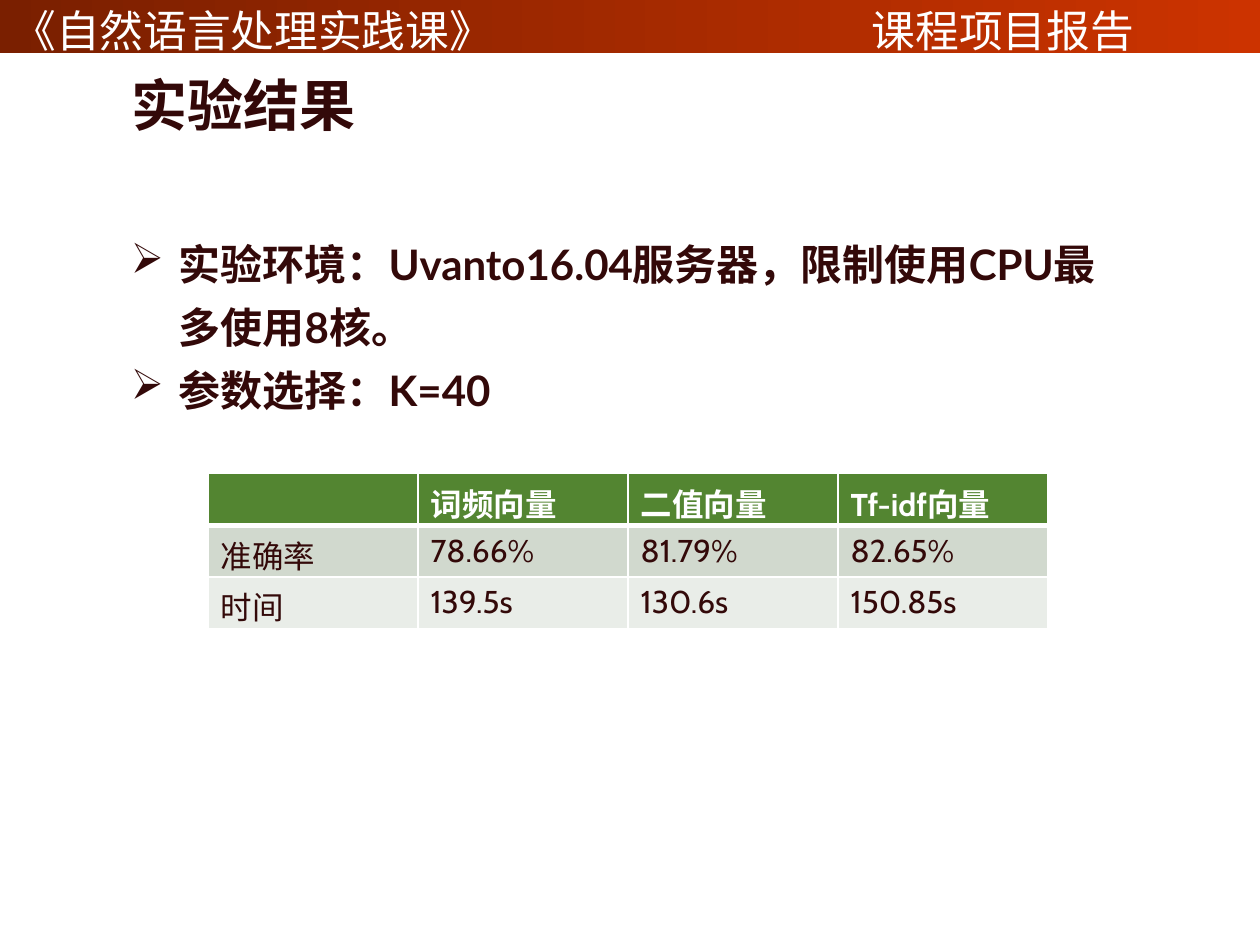
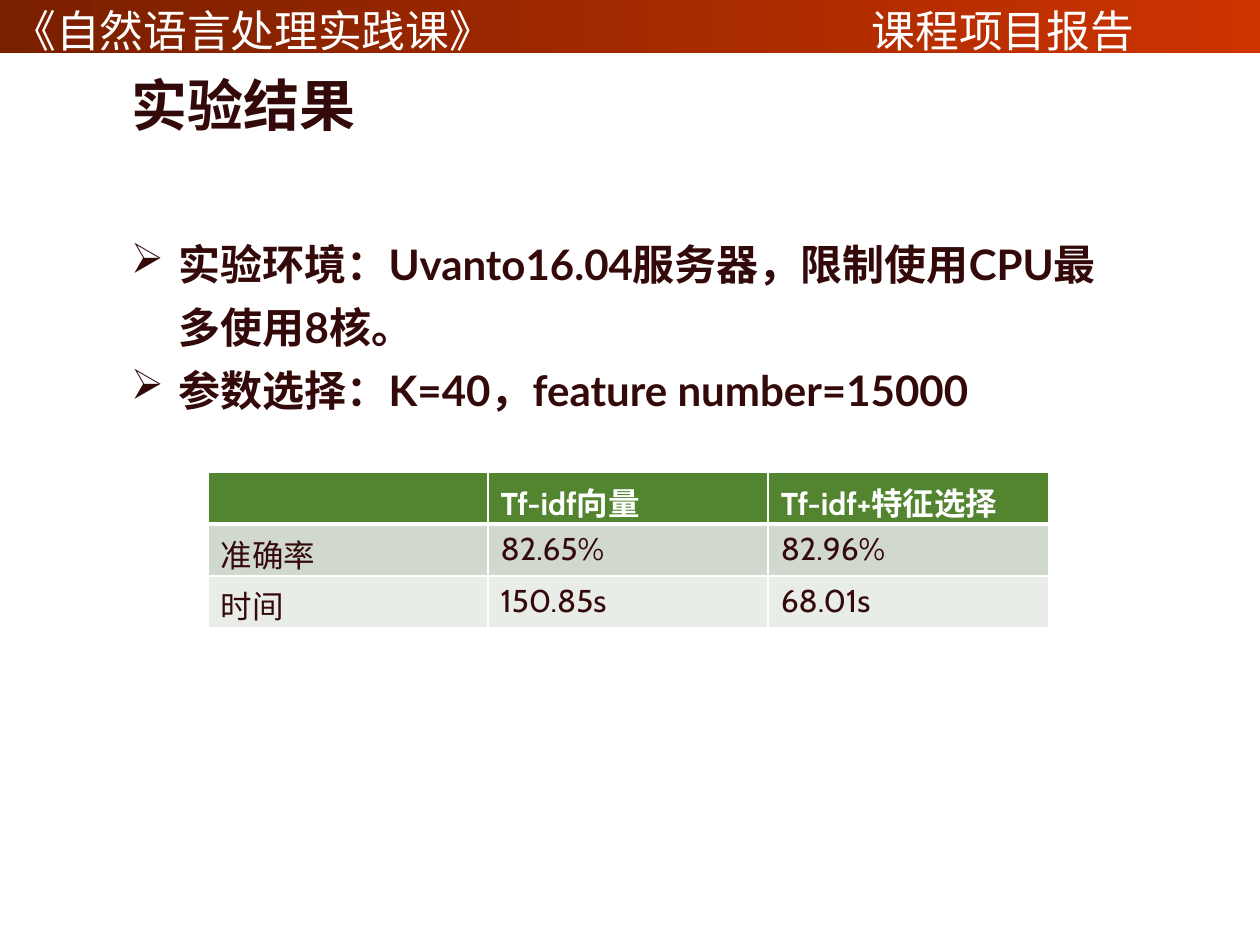
from lxml import etree
from pptx import Presentation
from pptx.dml.color import RGBColor as Rgb
from pptx.enum.shapes import MSO_SHAPE as Kind
from pptx.enum.text import MSO_ANCHOR as Anchor, MSO_AUTO_SIZE as Fit, PP_ALIGN as Align
from pptx.oxml import parse_xml
from pptx.oxml.ns import nsdecls, qn
from pptx.util import Inches, Pt

# Style
DARK = Rgb(0x33, 0x09, 0x09)
WHITE = Rgb(0xFF, 0xFF, 0xFF)
RUST = Rgb(0x7A, 0x1F, 0x00)
RED = Rgb(0xCC, 0x33, 0x00)
GREEN = Rgb(0x53, 0x85, 0x31)
BANDS = (Rgb(0xD1, 0xD9, 0xCE), Rgb(0xE9, 0xED, 0xE8))
LATO, CABIN = "Lato", "Cabin"

# Content
COURSE, REPORT = "《自然语言处理实践课》", "课程项目报告"
TITLE = "实验结果"
SETUP = "实验环境：Uvanto16.04服务器，限制使用CPU最多使用8核。"


def write(para, text, size=18, font=LATO, color=DARK, bold=False, space=None):
    """Add one formatted run to a paragraph."""
    run = para.add_run()
    run.text = text
    face = run.font
    face.size, face.name, face.bold = Pt(size), font, bold
    face.color.rgb = color
    if space:
        para.line_spacing = space
    return run


def glow(run):
    """Give a run a soft drop shadow."""
    shade = parse_xml(
        f'<a:effectLst {nsdecls("a")}><a:outerShdw blurRad="38100" dist="38100" '
        'dir="2700000" algn="tl"><a:srgbClr val="000000"><a:alpha val="43000"/>'
        '</a:srgbClr></a:outerShdw></a:effectLst>')
    run.font._element.find(qn("a:solidFill")).addnext(shade)


def edge(cell, **sides):
    """Draw white cell borders; each side gives its width in points."""
    props = cell._tc.get_or_add_tcPr()
    for spot, (side, width) in enumerate(sides.items()):
        props.insert(spot, parse_xml(
            f'<a:ln{side} {nsdecls("a")} w="{Pt(width)}"><a:solidFill>'
            f'<a:srgbClr val="{WHITE}"/></a:solidFill></a:ln{side}>'))


class Deck:
    def __init__(self):
        self.file = Presentation()
        self.file.slide_width, self.file.slide_height = Inches(10), Inches(7.5)
        self.slide = None

    def start(self, title):
        self.slide = self.file.slides.add_slide(self.file.slide_layouts[5])
        self.band()
        self.title(title)

    def box(self, left, top, width, height):
        frame = self.slide.shapes.add_textbox(
            Inches(left), Inches(top), Inches(width), Inches(height)).text_frame
        frame.word_wrap = True
        return frame

    def band(self):
        bar = self.slide.shapes.add_shape(Kind.RECTANGLE, 0, 0, Inches(10), Inches(0.42))
        bar.shadow.inherit = False
        bar.line.fill.background()
        bar.fill.gradient()
        bar.fill.gradient_angle = 0
        for stop, (place, color) in zip(bar.fill.gradient_stops, ((0, RUST), (1, RED))):
            stop.position, stop.color.rgb = place, color
        # Course on the left, report name at a tab stop
        frame = self.box(0, -0.03, 9.99, 0.53)
        frame.vertical_anchor = Anchor.MIDDLE
        para = frame.paragraphs[0]
        tabs = etree.SubElement(para._p.get_or_add_pPr(), qn("a:tabLst"))
        etree.SubElement(tabs, qn("a:tab"), pos=str(Inches(6.82)), algn="l")
        write(para, f"{COURSE}\t{REPORT}", size=25, color=WHITE)

    def title(self, text):
        head = self.slide.shapes.title
        head.left, head.top = Inches(0.94), Inches(0.56)
        head.width, head.height = Inches(8.08), Inches(0.53)
        frame = head.text_frame
        frame.auto_size, frame.vertical_anchor = Fit.NONE, Anchor.MIDDLE
        para = frame.paragraphs[0]
        para.alignment = Align.LEFT
        write(para, text, size=32, bold=True)

    def points(self, *lines):
        frame = self.box(0.94, 1.74, 8.08, 1.57)
        frame.auto_size = Fit.SHAPE_TO_FIT_TEXT
        for num, line in enumerate(lines):
            para = frame.add_paragraph() if num else frame.paragraphs[0]
            glow(write(para, line, size=24, bold=True, space=1.25))
            props = para._p.get_or_add_pPr()
            props.set("marL", str(Inches(0.38)))
            props.set("indent", str(-Inches(0.38)))
            etree.SubElement(props, qn("a:buChar"), char="➢")

    def table(self, top, rows):
        wide, high = 6.67, 0.41
        grid = self.slide.shapes.add_table(
            len(rows), len(rows[0]), Inches(1.65), Inches(top),
            Inches(wide), Inches(high * len(rows))).table
        for col in grid.columns:
            col.width = Inches(wide / len(rows[0]))
        for y, row in enumerate(rows):
            for x, text in enumerate(row):
                cell = grid.cell(y, x)
                cell.fill.solid()
                cell.fill.fore_color.rgb = BANDS[(y - 1) % 2] if y else GREEN
                edge(cell, L=1, R=1, T=3 if y == 1 else 1, B=1 if y else 3)
                if text:
                    write(cell.text_frame.paragraphs[0], text, font=CABIN,
                          color=DARK if y else WHITE, bold=not y)


def main():
    deck = Deck()

    # Vector types compared
    deck.start(TITLE)
    deck.points(SETUP, "参数选择：K=40")
    deck.table(3.76, [("", "词频向量", "二值向量", "Tf-idf向量"),
                      ("准确率", "78.66%", "81.79%", "82.65%"),
                      ("时间", "139.5s", "130.6s", "150.85s")])

    # Effect of feature selection
    deck.start(TITLE)
    deck.points(SETUP, "参数选择：K=40，feature number=15000")
    deck.table(3.75, [("", "Tf-idf向量", "Tf-idf+特征选择"),
                      ("准确率", "82.65%", "82.96%"),
                      ("时间", "150.85s", "68.01s")])

    deck.file.save("out.pptx")


if __name__ == "__main__":
    main()
